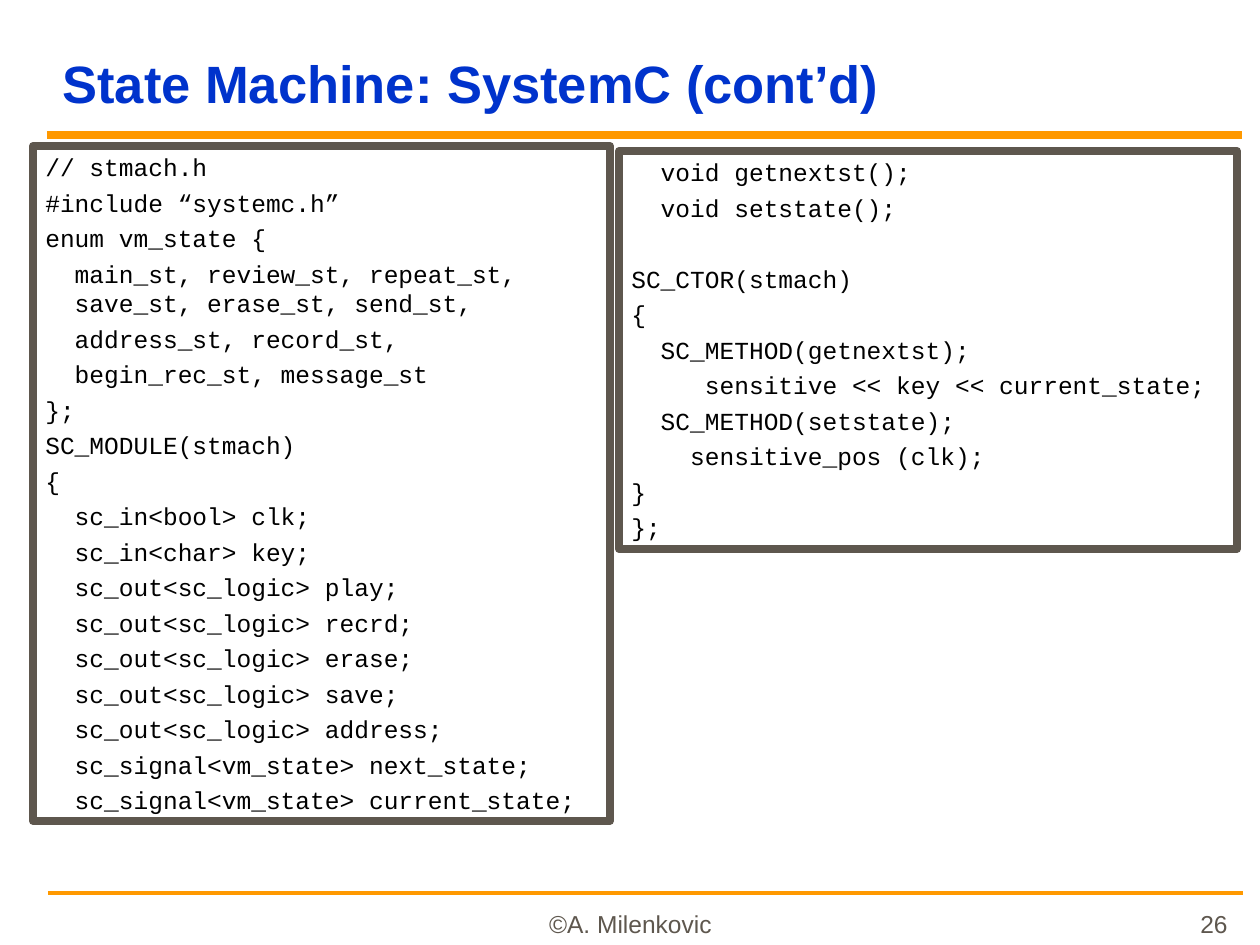
from dataclasses import dataclass

from lxml import etree
from pptx import Presentation
from pptx import util as u
from pptx.dml import color
from pptx.enum import shapes, text
from pptx.oxml import ns

PX = 914400 / 126
BLANK = 6


@dataclass(frozen=True)
class Theme:
    title: str = "0033CC"
    rule: str = "FF9900"
    frame: str = "5E574E"
    code: str = "000000"
    sans: str = "Arial"
    mono: str = "Courier New"
    title_size: int = 30
    body_size: int = 14
    thick: float = 4.5
    thin: float = 2.25
    line_gap: float = 3.5
    block_gap: float = 23.8


THEME = Theme()

HEADER_CODE = """// stmach.h
#include “systemc.h”
enum vm_state {
  main_st, review_st, repeat_st, \v  save_st, erase_st, send_st,
  address_st, record_st,
  begin_rec_st, message_st
};
SC_MODULE(stmach)
{
  sc_in<bool> clk;
  sc_in<char> key;
  sc_out<sc_logic> play;
  sc_out<sc_logic> recrd;
  sc_out<sc_logic> erase;
  sc_out<sc_logic> save;
  sc_out<sc_logic> address;
  sc_signal<vm_state> next_state;
  sc_signal<vm_state> current_state;"""

CONSTRUCTOR_CODE = """  void getnextst();
  void setstate();
SC_CTOR(stmach)
{
  SC_METHOD(getnextst);
     sensitive << key << current_state;
  SC_METHOD(setstate);
    sensitive_pos (clk);
}
};"""


def emu(*lengths):
    return [u.Emu(round(length * PX)) for length in lengths]


def rgb(value):
    return color.RGBColor.from_string(value)


def style_text(frame, font, size, ink, bold=False, align=text.PP_ALIGN.LEFT):
    for para in frame.paragraphs:
        para.alignment = align
        for span in para.runs:
            span.font.name = font
            span.font.size = u.Pt(size)
            span.font.bold = bold
            span.font.color.rgb = rgb(ink)


def add_rule(page, left, top, width, weight):
    rule = page.shapes.add_connector(
        shapes.MSO_CONNECTOR.STRAIGHT, *emu(left, top, left + width, top))
    rule.line.color.rgb = rgb(THEME.rule)
    rule.line.width = u.Pt(weight)
    etree.SubElement(rule._element.spPr, ns.qn("a:effectLst"))


def add_label(page, bounds, words, size, ink, bold=False, align=text.PP_ALIGN.LEFT):
    frame = page.shapes.add_textbox(*emu(*bounds)).text_frame
    frame.word_wrap = True
    frame.vertical_anchor = text.MSO_ANCHOR.BOTTOM
    frame.text = words
    style_text(frame, THEME.sans, size, ink, bold, align)


def add_header(page, left, top, width, height):
    add_rule(page, left, top + height, width, THEME.thick)
    add_label(page, (left + 3, top, width - 3, height - 15),
              "State Machine: SystemC (cont’d)", THEME.title_size, THEME.title, bold=True)


def add_footer(page, left, top, width, height):
    add_rule(page, left, top, width, THEME.thin)
    add_label(page, (left + 383, top - 6, 399, height), "©A. Milenkovic",
              THEME.body_size, THEME.frame, align=text.PP_ALIGN.CENTER)
    add_label(page, (left + 891, top + 3, 301, height - 9), "26",
              THEME.body_size, THEME.frame, align=text.PP_ALIGN.RIGHT)


def add_code_box(page, left, top, width, height, code, block_starts=()):
    box = page.shapes.add_shape(
        shapes.MSO_SHAPE.RECTANGLE, *emu(left, top, width, height))
    box.shadow.inherit = False
    box.fill.background()
    box.line.color.rgb = rgb(THEME.frame)
    box.line.width = u.Pt(THEME.thick)
    frame = box.text_frame
    frame.word_wrap = True
    frame.auto_size = text.MSO_AUTO_SIZE.SHAPE_TO_FIT_TEXT
    frame.vertical_anchor = text.MSO_ANCHOR.TOP
    frame.text = code
    style_text(frame, THEME.mono, THEME.body_size, THEME.code)
    for para in frame.paragraphs[1:]:
        gap = THEME.block_gap if para.text in block_starts else THEME.line_gap
        para.space_before = u.Pt(gap)


def main():
    deck = Presentation()
    deck.slide_width, deck.slide_height = emu(1260, 945)
    page = deck.slides.add_slide(deck.slide_layouts[BLANK])
    add_footer(page, 48, 893, 1195, 58)
    add_header(page, 47, 23, 1195, 112)
    add_code_box(page, 33, 146, 577, 675, HEADER_CODE)
    add_code_box(page, 619, 151, 618, 398, CONSTRUCTOR_CODE, ("SC_CTOR(stmach)",))
    deck.save("out.pptx")


if __name__ == "__main__":
    main()
